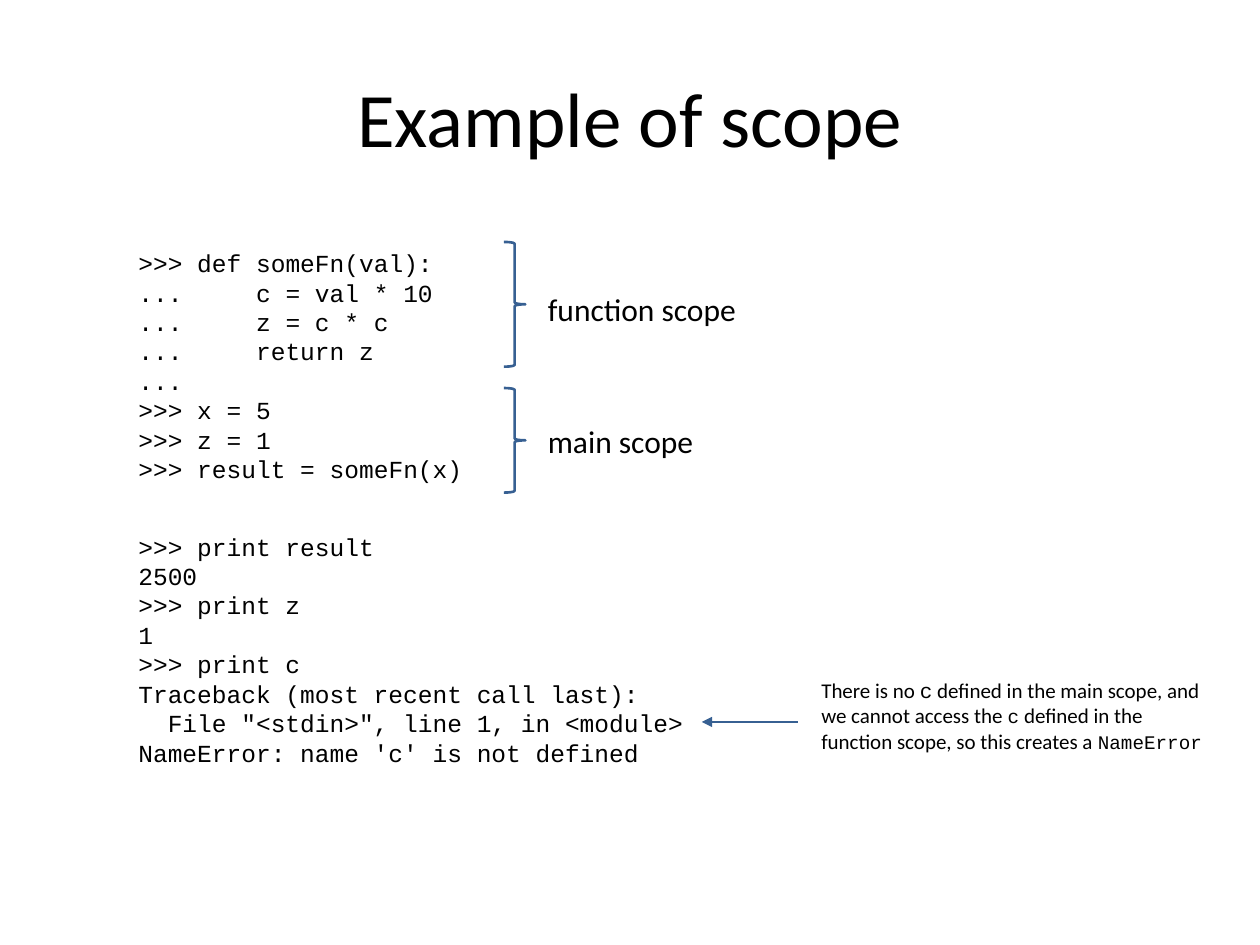
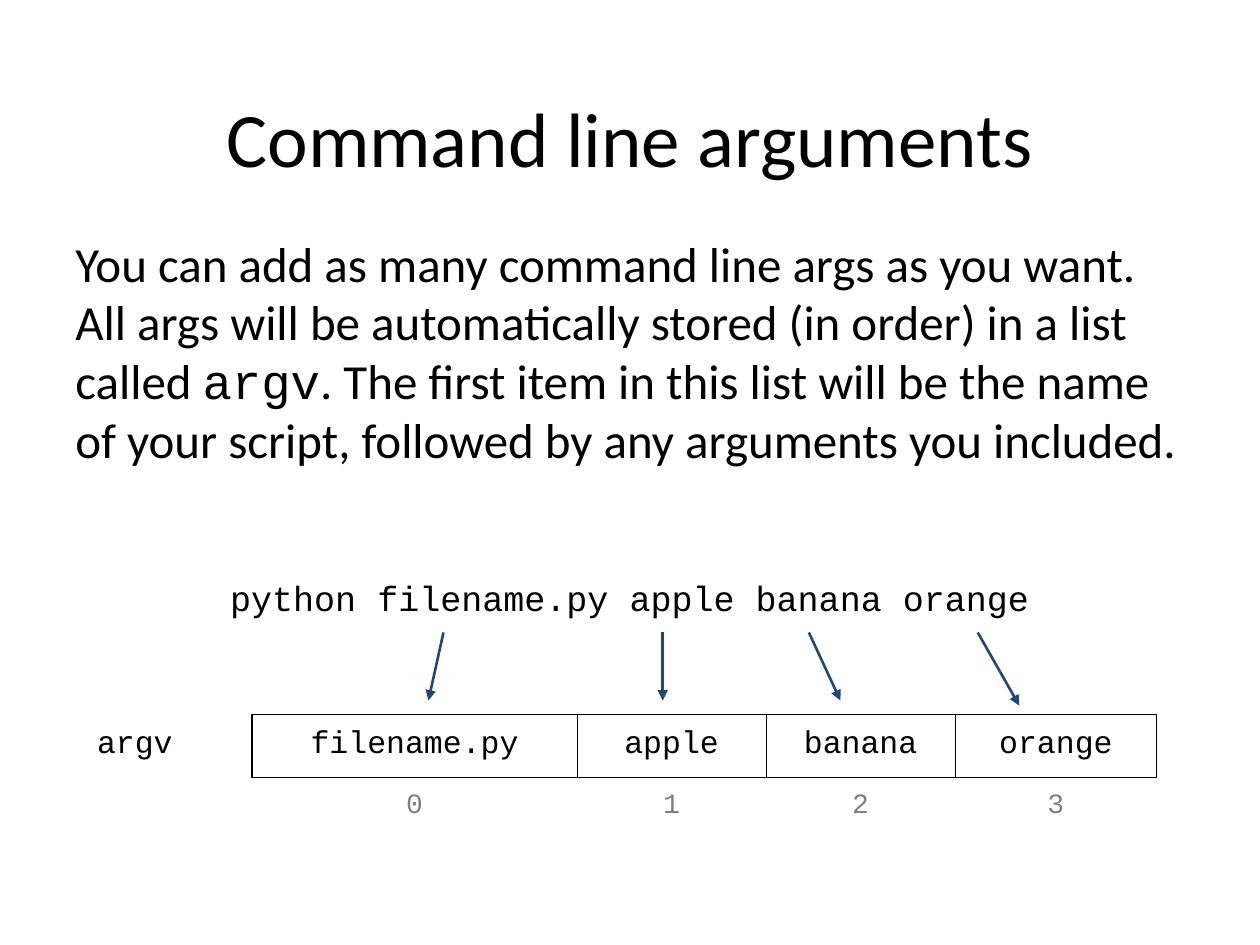
from dataclasses import dataclass

from lxml.etree import SubElement
from pptx import Presentation
from pptx.dml.color import RGBColor
from pptx.enum.shapes import MSO_CONNECTOR, MSO_SHAPE
from pptx.enum.text import MSO_ANCHOR, PP_ALIGN
from pptx.oxml.ns import qn
from pptx.util import Emu, Pt

EMU_PER_PX = 9144  # 100 px to the inch
TITLE_ONLY = 5


@dataclass(frozen=True)
class Theme:
    text: str = "000000"
    index: str = "808080"
    brace: str = "376092"
    arrow: str = "1F497D"
    body_font: str = "Calibri"
    code_font: str = "Courier New"
    title_size: int = 44
    body_size: int = 28
    command_size: int = 20
    label_size: int = 18
    index_size: int = 16
    code_size: int = 14
    note_size: int = 12
    note_code_size: int = 11
    line_width: float = 1.5


THEME = Theme()

DEFINITION_CODE = """>>> def someFn(val):
...     c = val * 10
...     z = c * c
...     return z
...
>>> x = 5
>>> z = 1
>>> result = someFn(x)"""

OUTPUT_CODE = """>>> print result
2500
>>> print z
1
>>> print c
Traceback (most recent call last):
  File "<stdin>", line 1, in <module>
NameError: name 'c' is not defined"""


def px(length):
    return Emu(length * EMU_PER_PX)


def style_font(font, name, size, color=THEME.text):
    font.name = name
    font.size = Pt(size)
    font.color.rgb = RGBColor.from_string(color)


def style_line(line, color):
    line.color.rgb = RGBColor.from_string(color)
    line.width = Pt(THEME.line_width)


def add_titled_slide(presentation, title, anchor, inset=5):
    slide = presentation.slides.add_slide(presentation.slide_layouts[TITLE_ONLY])
    shape = slide.shapes.title
    shape.left, shape.top, shape.width, shape.height = map(px, (50, 30, 900, 125))
    frame = shape.text_frame
    frame.text = title
    frame.vertical_anchor = anchor
    frame.margin_top = frame.margin_bottom = px(inset)
    paragraph = frame.paragraphs[0]
    paragraph.alignment = PP_ALIGN.CENTER
    style_font(paragraph.runs[0].font, THEME.body_font, THEME.title_size)
    return slide


def add_text_frame(slide, box, wrap=True):
    frame = slide.shapes.add_textbox(*map(px, box)).text_frame
    frame.word_wrap = wrap
    return frame


def add_text(slide, box, text, font, size, alignment=PP_ALIGN.LEFT, wrap=True):
    frame = add_text_frame(slide, box, wrap)
    frame.text = text
    for paragraph in frame.paragraphs:
        paragraph.alignment = alignment
        for run in paragraph.runs:
            style_font(run.font, font, size)


def add_mixed_text(slide, box, segments, inset=5):
    """Write one paragraph from (text, font, size) segments."""
    frame = add_text_frame(slide, box)
    frame.margin_top = frame.margin_bottom = px(inset)
    for text, font, size in segments:
        run = frame.paragraphs[0].add_run()
        run.text = text
        style_font(run.font, font, size)


def add_arrow(slide, start, end, color):
    connector = slide.shapes.add_connector(
        MSO_CONNECTOR.STRAIGHT, *map(px, (*start, *end)))
    style_line(connector.line, color)
    SubElement(connector.line._get_or_add_ln(), qn("a:tailEnd"), type="triangle")
    SubElement(connector._element.spPr, qn("a:effectLst"))


def add_scope(slide, top, height, label, label_top, label_width):
    brace = slide.shapes.add_shape(
        MSO_SHAPE.RIGHT_BRACE, *map(px, (400, top, 17, height)))
    brace.shadow.inherit = False
    brace.fill.background()
    style_line(brace.line, THEME.brace)
    add_text(slide, (425, label_top, label_width, 40), label,
             THEME.body_font, THEME.label_size, wrap=False)


def set_borders(cell, widths):
    """Draw the sides named in widths (points) and clear the others."""
    properties = cell._tc.get_or_add_tcPr()
    for side in "LRTB":
        width = widths.get(side, 0)
        line = SubElement(properties, qn(f"a:ln{side}"), w=str(Pt(width)))
        if width:
            fill = SubElement(line, qn("a:solidFill"))
            SubElement(fill, qn("a:srgbClr"), val=THEME.text)
        else:
            SubElement(line, qn("a:noFill"))


def fill_cell(cell, text, size, color, alignment, borders):
    set_borders(cell, borders)
    cell.fill.background()
    cell.margin_left = cell.margin_right = px(10)
    cell.margin_top = cell.margin_bottom = px(10)
    cell.text = text
    paragraph = cell.text_frame.paragraphs[0]
    paragraph.alignment = alignment
    for run in paragraph.runs:
        style_font(run.font, THEME.code_font, size, color)


def add_argument_table(slide, name, items):
    column_widths = (133, 258, 150, 150, 160)
    row_heights = (48, 45)
    table = slide.shapes.add_table(
        2, len(column_widths),
        *map(px, (67, 567, sum(column_widths), sum(row_heights)))).table
    table.first_row = table.horz_banding = False
    for column, width in zip(table.columns, column_widths):
        column.width = px(width)
    for row, height in zip(table.rows, row_heights):
        row.height = px(height)

    # List name, then each item above its index
    fill_cell(table.cell(0, 0), name, THEME.label_size, THEME.text,
              PP_ALIGN.LEFT, {"R": 0.75})
    fill_cell(table.cell(1, 0), "", THEME.index_size, THEME.index,
              PP_ALIGN.LEFT, {})
    box_borders = {"L": 0.75, "R": 0.75, "T": 0.75, "B": 1}
    for index, item in enumerate(items):
        fill_cell(table.cell(0, index + 1), item, THEME.label_size, THEME.text,
                  PP_ALIGN.CENTER, box_borders)
        fill_cell(table.cell(1, index + 1), str(index), THEME.index_size,
                  THEME.index, PP_ALIGN.CENTER, {"T": 1})


def build_scope_slide(presentation):
    slide = add_titled_slide(presentation, "Example of scope", MSO_ANCHOR.MIDDLE)

    # Code session
    add_text(slide, (100, 192, 792, 199), DEFINITION_CODE,
             THEME.code_font, THEME.code_size)
    add_text(slide, (100, 417, 500, 199), OUTPUT_CODE,
             THEME.code_font, THEME.code_size)

    # Scope braces
    add_scope(slide, 192, 99, "function scope", 225, 171)
    add_scope(slide, 308, 83, "main scope", 330, 137)

    # Note on the error
    prose = (THEME.body_font, THEME.note_size)
    code = (THEME.code_font, THEME.note_code_size)
    add_arrow(slide, (633, 573), (557, 573), THEME.brace)
    add_mixed_text(slide, (642, 533, 333, 71), [
        ("There is no ", *prose),
        ("c", THEME.code_font, THEME.note_size),
        (" defined in the main scope, and we cannot access the ", *prose),
        ("c", *code),
        (" defined in the function scope, so this creates a ", *prose),
        ("NameError", *code),
    ])


def build_arguments_slide(presentation):
    slide = add_titled_slide(presentation, "Command line arguments",
                             MSO_ANCHOR.BOTTOM, inset=10)

    # Explanation and command
    add_mixed_text(slide, (50, 175, 900, 215), [
        ("You can add as many command line args as you want. All args will be "
         "automatically stored (in order) in a list called ",
         THEME.body_font, THEME.body_size),
        ("argv", THEME.code_font, THEME.body_size),
        (". The first item in this list will be the name of your script, "
         "followed by any arguments you included.",
         THEME.body_font, THEME.body_size),
    ], inset=10)
    add_text(slide, (50, 453, 900, 42), "python filename.py apple banana orange",
             THEME.code_font, THEME.command_size, PP_ALIGN.CENTER)

    # Stored list, with an arrow from each word to its cell
    add_argument_table(slide, "argv", ["filename.py", "apple", "banana", "orange"])
    for start_x, end_x, end_y in ((352, 340, 556), (526, 526, 556),
                                  (642, 667, 556), (776, 809, 560)):
        add_arrow(slide, (start_x, 502), (end_x, end_y), THEME.arrow)


def main():
    presentation = Presentation()
    presentation.slide_width, presentation.slide_height = px(1000), px(750)
    build_scope_slide(presentation)
    build_arguments_slide(presentation)
    presentation.save("out.pptx")


if __name__ == "__main__":
    main()
